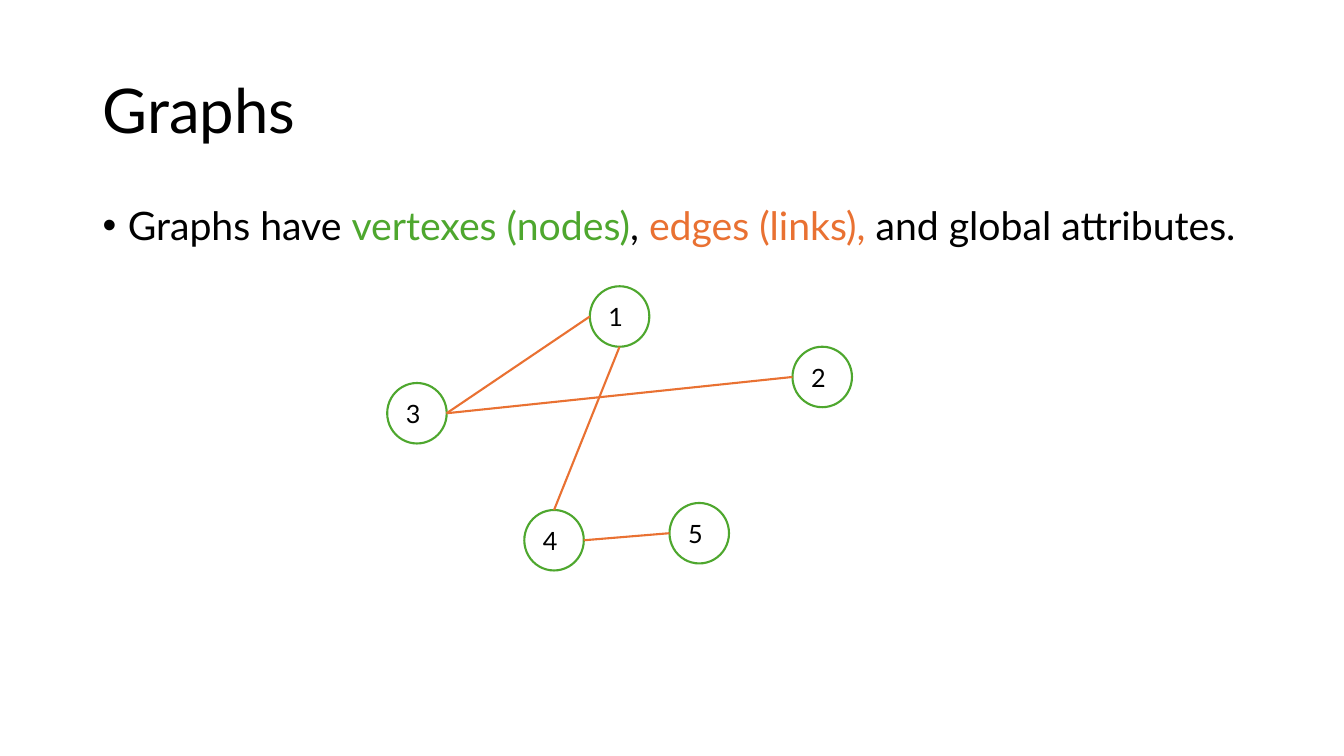
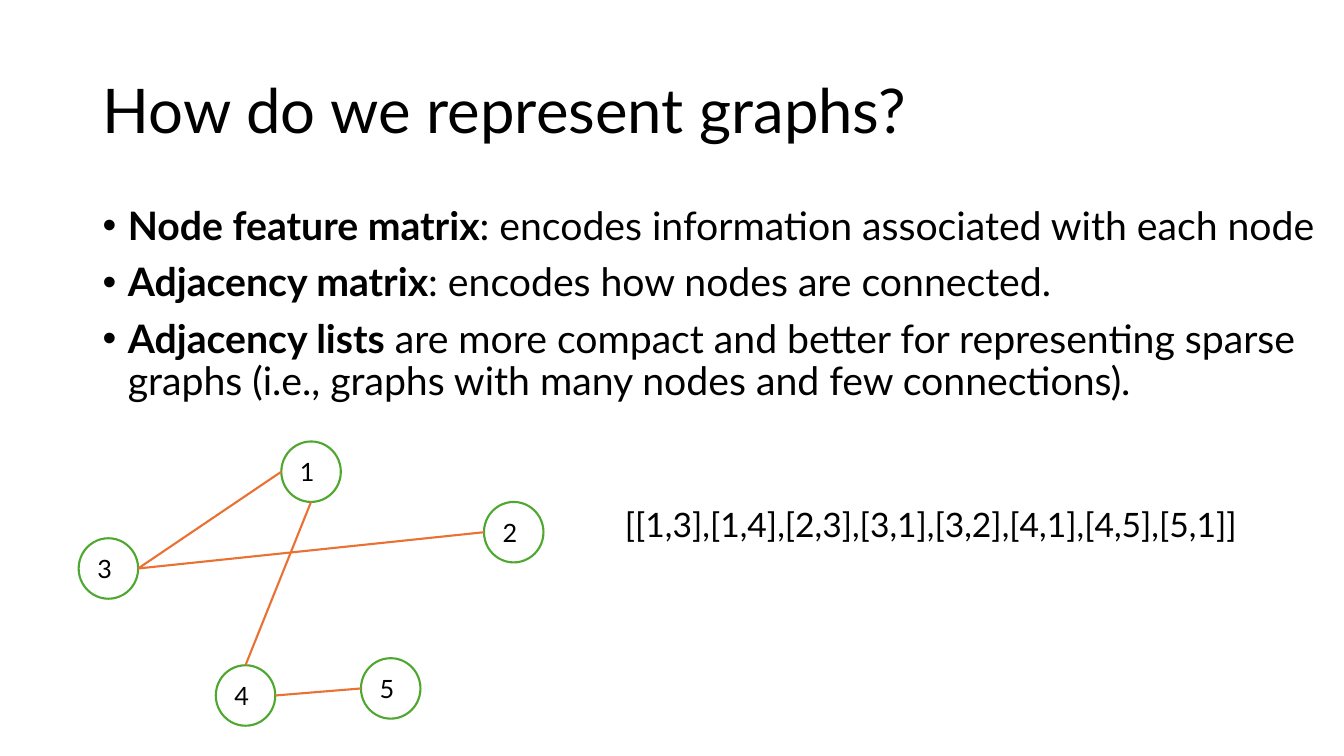
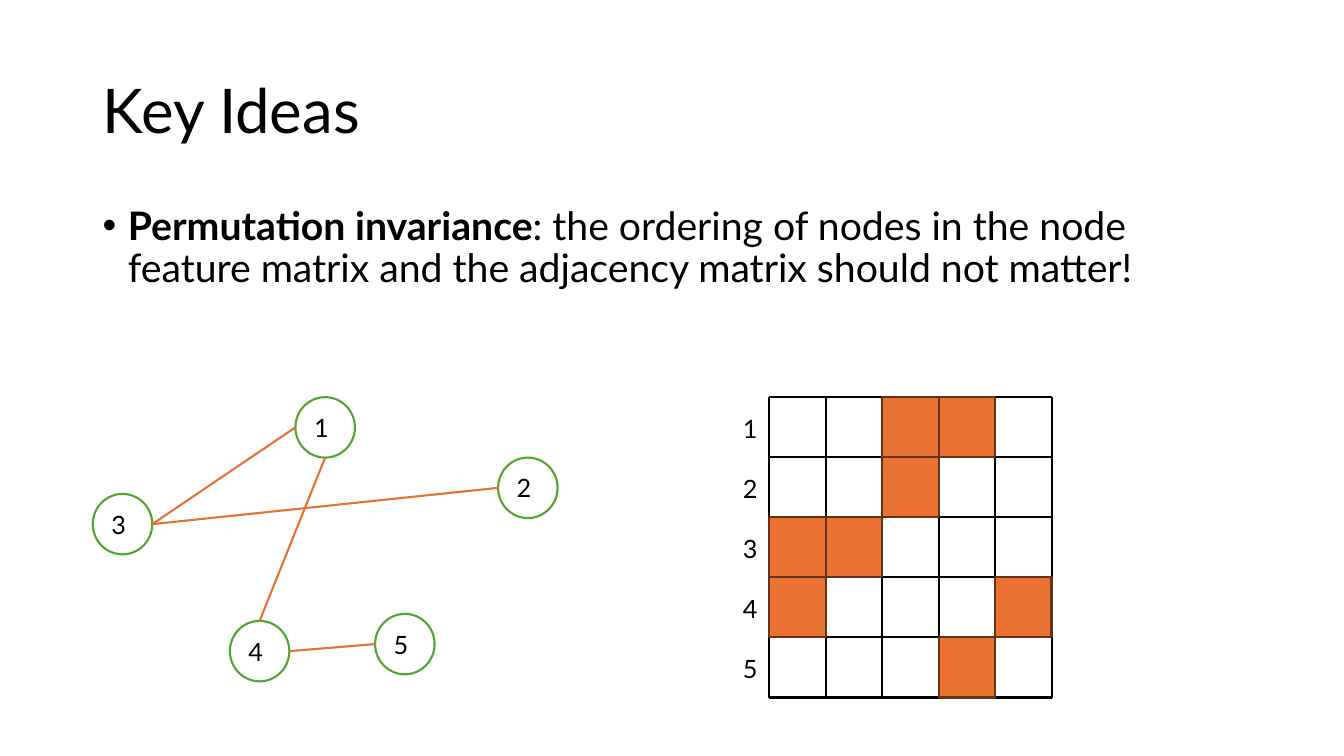
"""Build three slides that introduce graphs and their representations."""
from lxml.etree import SubElement
from pptx import Presentation
from pptx.dml.color import RGBColor
from pptx.enum.shapes import MSO_CONNECTOR, MSO_SHAPE
from pptx.enum.text import MSO_ANCHOR, MSO_AUTO_SIZE, PP_ALIGN
from pptx.oxml.ns import qn
from pptx.util import Inches, Pt


class Theme:
    font = "Lato"
    black = RGBColor.from_string("000000")
    white = RGBColor.from_string("FFFFFF")
    green = RGBColor.from_string("4EA72E")
    orange = RGBColor.from_string("E97132")
    brown = RGBColor.from_string("663216")
    title = Pt(44)
    body = Pt(28)
    list = Pt(24)
    label = Pt(18)
    line = Pt(1.5)


def link(shapes, start, end, color):
    ends = [Inches(v) for v in (*start, *end)]
    line = shapes.add_connector(MSO_CONNECTOR.STRAIGHT, *ends)
    line.line.color.rgb = color
    line.line.width = Theme.line
    SubElement(line._element.spPr, qn("a:effectLst"))


def form(shapes, area, text="", size=Theme.label, kind=None, fill=None, edge=None):
    area = [Inches(v) for v in area]
    if kind is None:
        shape = shapes.add_textbox(*area)
        shape.text_frame.word_wrap = False
    else:
        shape = shapes.add_shape(kind, *area)
        shape.shadow.inherit = False
        shape.fill.solid()
        shape.fill.fore_color.rgb = fill
        shape.line.color.rgb = edge
        shape.line.width = Theme.line
        shape.text_frame.vertical_anchor = MSO_ANCHOR.MIDDLE
        shape.text_frame.paragraphs[0].alignment = PP_ALIGN.CENTER
    if text:
        shape.text_frame.text = text
        font = shape.text_frame.paragraphs[0].runs[0].font
        font.name, font.size = Theme.font, size
        font.color.rgb = Theme.black


plain = (False, Theme.black)
bold = (True, Theme.black)
pages = [
    ("Graphs", 11.5, (3.84, 2.84), [
        [("Graphs have ", plain),
         ("vertexes (nodes)", (False, Theme.green)),
         (", ", plain),
         ("edges (links), ", (False, Theme.orange)),
         ("and global attributes.", plain)],
    ]),
    ("How do we represent graphs?", 12.23, (0.78, 4.38), [
        [("Node feature matrix", bold),
         (": encodes information associated with each node", plain)],
        [("Adjacency matrix", bold),
         (": encodes how nodes are connected.", plain)],
        [("Adjacency lists", bold),
         (" are more compact and better for representing sparse graphs "
          "(i.e., graphs with many nodes and few connections).", plain)],
    ]),
    ("Key Ideas", 11.5, (0.92, 3.94), [
        [("Permutation invariance", bold),
         (": the ordering of nodes in the node feature matrix and the "
          "adjacency matrix should not matter!", plain)],
    ]),
]

node_w, node_h = 0.59, 0.6
nodes = {1: (2.01, 0), 2: (4.02, 0.6), 3: (0, 0.96), 4: (1.36, 2.22), 5: (2.8, 2.15)}
sides = {"top": (0.5, 0), "left": (0, 0.5), "bottom": (0.5, 1), "right": (1, 0.5)}
edges = [
    (1, "bottom", 4, "top"),
    (1, "left", 3, "right"),
    (5, "left", 4, "right"),
    (2, "left", 3, "right"),
]

deck = Presentation()
deck.slide_width, deck.slide_height = Inches(13.33), Inches(7.5)
slides = []
for name, wide, (left, top), points in pages:
    slide = deck.slides.add_slide(deck.slide_layouts[5])
    slides.append(slide)

    title = slide.shapes.title
    title.left, title.top = Inches(0.92), Inches(0.4)
    title.width, title.height = Inches(11.5), Inches(1.45)
    frame = title.text_frame
    frame.text = name
    frame.auto_size = MSO_AUTO_SIZE.NONE
    frame.vertical_anchor = MSO_ANCHOR.MIDDLE
    para = frame.paragraphs[0]
    para.alignment = PP_ALIGN.LEFT
    para.line_spacing = 0.9
    font = para.runs[0].font
    font.name, font.size = Theme.font, Theme.title
    font.color.rgb = Theme.black

    body = slide.shapes.add_textbox(Inches(0.92), Inches(2), Inches(wide), Inches(4.76))
    frame = body.text_frame
    frame.word_wrap = True
    for i, point in enumerate(points):
        para = frame.add_paragraph() if i else frame.paragraphs[0]
        props = para._p.get_or_add_pPr()
        props.set("marL", str(Inches(0.25)))
        props.set("indent", str(-Inches(0.25)))
        SubElement(props, qn("a:buFont"), typeface="Arial")
        SubElement(props, qn("a:buChar"), char="•")
        para.line_spacing = 0.9
        if i:
            para.space_before = Pt(10)
        for text, (heavy, color) in point:
            run = para.add_run()
            run.text = text
            run.font.name, run.font.size = Theme.font, Theme.body
            run.font.bold = heavy
            run.font.color.rgb = color

    graph = slide.shapes.add_group_shape().shapes
    for key, (x, y) in nodes.items():
        area = (left + x, top + y, node_w, node_h)
        form(graph, area, str(key), kind=MSO_SHAPE.OVAL, fill=Theme.white, edge=Theme.green)
    for a, out, b, into in edges:
        ends = []
        for key, side in ((a, out), (b, into)):
            x, y = nodes[key]
            u, v = sides[side]
            ends.append((left + x + u * node_w, top + y + v * node_h))
        link(graph, *ends, Theme.orange)

pairs = "[[1,3],[1,4],[2,3],[3,1],[3,2],[4,1],[4,5],[5,1]]"
form(slides[1].shapes, (6.1, 4.95, 6.34, 0.5), pairs, Theme.list)

shapes = slides[2].shapes
count = len(nodes)
left, top, right, bottom = 7.63, 3.94, 10.43, 6.92
cell_w, cell_h = (right - left) / count, (bottom - top) / count
grid = shapes.add_group_shape().shapes
for i in range(count + 1):
    x, y = left + i * cell_w, top + i * cell_h
    link(grid, (x, top), (x, bottom), Theme.black)
    link(grid, (left, y), (right, y), Theme.black)
for i in range(count):
    form(shapes, (7.27, top + 0.11 + i * cell_h, 0.34, 0.4), str(i + 1))
for a, _, b, _ in edges:
    for row, col in ((a, b), (b, a)):
        area = (left + (col - 1) * cell_w, top + (row - 1) * cell_h, cell_w, cell_h)
        form(shapes, area, kind=MSO_SHAPE.RECTANGLE, fill=Theme.orange, edge=Theme.brown)

deck.save("out.pptx")
